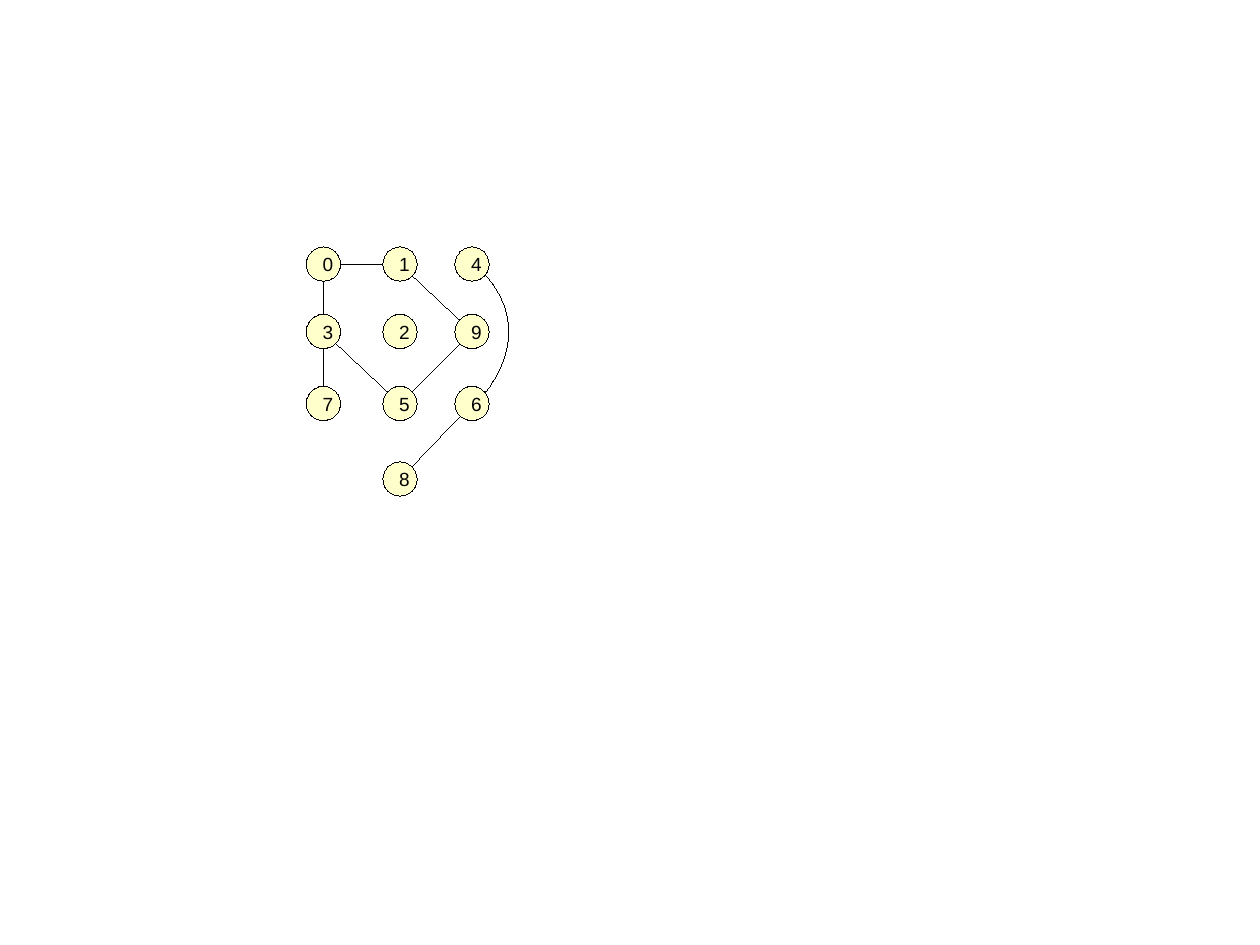
from dataclasses import dataclass

from lxml.etree import SubElement
from pptx import Presentation
from pptx.dml.color import RGBColor
from pptx.enum.shapes import MSO_CONNECTOR, MSO_SHAPE
from pptx.enum.text import MSO_ANCHOR, PP_ALIGN
from pptx.oxml.ns import qn
from pptx.util import Cm, Emu, Inches, Pt


@dataclass(frozen=True)
class Theme:
    ink: RGBColor = RGBColor(0x00, 0x00, 0x00)
    node_fill: RGBColor = RGBColor(0xFF, 0xFF, 0xCC)
    font: str = "Arial"
    text_size: Pt = Pt(12)
    hairline: Emu = Emu(1)


THEME = Theme()
SLIDE_WIDTH, SLIDE_HEIGHT = Cm(28), Cm(21)
NODE_SIZE = 0.3
COLUMNS = (2.83, 3.5, 4.13)
ROWS = (2.31, 2.9, 3.53, 4.19)
NODES = {
    "0": (0, 0), "1": (1, 0), "4": (2, 0),
    "9": (2, 1), "2": (1, 1), "3": (0, 1),
    "7": (0, 2), "5": (1, 2), "6": (2, 2),
    "8": (1, 3),
}
EDGES = ("86", "59", "37", "03", "19", "10", "35")
ARC_CONTROLS = ((4.17, 2.32), (4.81, 2.93), (4.16, 3.53), (4.16, 3.53))
ARC_STEPS = 32


def center(label):
    column, row = NODES[label]
    return COLUMNS[column], ROWS[row]


def style_line(line):
    line.color.rgb = THEME.ink
    line.width = THEME.hairline


def add_edge(page, start, end):
    points = [Inches(value) for label in (start, end) for value in center(label)]
    edge = page.shapes.add_connector(MSO_CONNECTOR.STRAIGHT, *points)
    style_line(edge.line)
    SubElement(edge._element.spPr, qn("a:effectLst"))


def arc_point(share):
    rest = 1 - share
    weights = (rest**3, 3 * rest**2 * share, 3 * rest * share**2, share**3)
    return tuple(
        Inches(sum(weight * value for weight, value in zip(weights, axis)))
        for axis in zip(*ARC_CONTROLS)
    )


def add_arc(page):
    points = [arc_point(step / ARC_STEPS) for step in range(ARC_STEPS + 1)]
    builder = page.shapes.build_freeform(*points[0])
    builder.add_line_segments(points[1:], close=False)
    arc = builder.convert_to_shape()
    arc.fill.background()
    arc.shadow.inherit = False
    style_line(arc.line)


def add_node(page, label):
    x, y = center(label)
    node = page.shapes.add_shape(
        MSO_SHAPE.OVAL,
        Inches(x - NODE_SIZE / 2),
        Inches(y - NODE_SIZE / 2),
        Inches(NODE_SIZE),
        Inches(NODE_SIZE),
    )
    node.shadow.inherit = False
    node.fill.solid()
    node.fill.fore_color.rgb = THEME.node_fill
    style_line(node.line)
    frame = node.text_frame
    frame.word_wrap = True
    frame.vertical_anchor = MSO_ANCHOR.MIDDLE
    para = frame.paragraphs[0]
    para.alignment = PP_ALIGN.CENTER
    span = para.add_run()
    span.text = label
    span.font.name = THEME.font
    span.font.size = THEME.text_size
    span.font.color.rgb = THEME.ink


def main():
    deck = Presentation()
    deck.slide_width = SLIDE_WIDTH
    deck.slide_height = SLIDE_HEIGHT
    page = deck.slides.add_slide(deck.slide_layouts[6])
    for start, end in EDGES:
        add_edge(page, start, end)
    add_arc(page)
    for label in NODES:
        add_node(page, label)
    deck.save("out.pptx")


if __name__ == "__main__":
    main()
